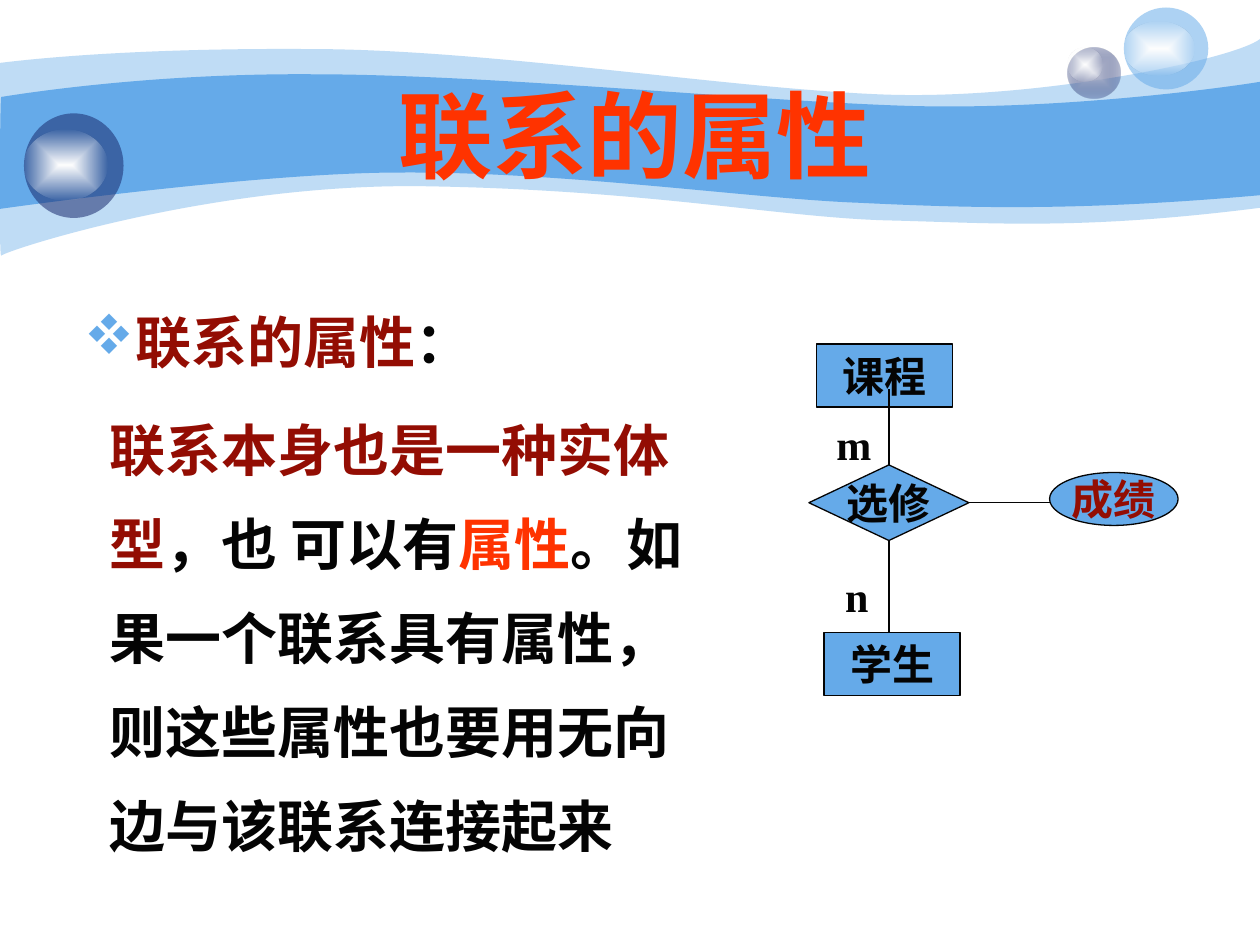
from dataclasses import dataclass

import pptx
import pptx.dml.color
import pptx.enum.shapes
import pptx.enum.text
import pptx.oxml
import pptx.oxml.ns
import pptx.util
from pptx.util import Inches

SHAPE = pptx.enum.shapes.MSO_SHAPE
ALIGN = pptx.enum.text.PP_ALIGN
ANCHOR = pptx.enum.text.MSO_ANCHOR
NS = 'xmlns:a="http://schemas.openxmlformats.org/drawingml/2006/main"'


@dataclass(frozen=True)
class Theme:
    blue: str = "65AAE9"
    navy: str = "16266A"
    mist: str = "C4C8D9"
    white: str = "FFFFFF"
    ink: str = "040404"
    maroon: str = "930D03"
    red: str = "FF3300"
    title_font: str = "Arial"
    text_font: str = "Times New Roman"
    title_size: int = 54
    body_size: int = 32
    label_size: int = 24
    line_width: float = 0.75


THEME = Theme()


def rgb(color):
    return pptx.dml.color.RGBColor.from_string(color)


def apply(target, formats):
    for name, value in formats.items():
        setattr(target, name, value)


def add_run(paragraph, text, color, size, face=THEME.text_font):
    run = paragraph.add_run()
    run.text = text
    apply(run.font, {"name": face, "size": pptx.util.Pt(size), "bold": True})
    run.font.color.rgb = rgb(color)


def color_xml(color, opacity=100):
    return f'<a:srgbClr {NS} val="{color}"><a:alpha val="{opacity * 1000}"/></a:srgbClr>'


def fill_shape(shape, color, opacity=100, outlined=False):
    shape.shadow.inherit = False
    shape.fill.solid()
    shape.fill.fore_color.rgb = rgb(color)
    if opacity < 100:
        solid = shape.element.spPr.find(pptx.oxml.ns.qn("a:solidFill"))
        solid.replace(solid[0], pptx.oxml.parse_xml(color_xml(color, opacity)))
    if outlined:
        shape.line.color.rgb = rgb(THEME.ink)
        shape.line.width = pptx.util.Pt(THEME.line_width)
    else:
        shape.line.fill.background()


def fill_glow(shape, center, edge, edge_opacity):
    fill_shape(shape, center)
    solid = shape.element.spPr.find(pptx.oxml.ns.qn("a:solidFill"))
    shape.element.spPr.replace(solid, pptx.oxml.parse_xml(
        f'<a:gradFill {NS} rotWithShape="1"><a:gsLst>'
        f'<a:gs pos="0">{color_xml(center)}</a:gs>'
        f'<a:gs pos="100000">{color_xml(edge, edge_opacity)}</a:gs></a:gsLst>'
        '<a:path path="rect"><a:fillToRect l="50000" t="50000" r="50000" b="50000"/>'
        '</a:path></a:gradFill>'))


def bend_outline(wave, segments):
    lines = iter(wave.element.findall(".//" + pptx.oxml.ns.qn("a:lnTo")))
    for segment in segments:
        first = next(lines)
        if len(segment) == 6:
            curve = pptx.oxml.parse_xml(f"<a:cubicBezTo {NS}/>")
            first.addprevious(curve)
            for line in (first, next(lines), next(lines)):
                curve.append(line[0])
                line.getparent().remove(line)


def draw_wave(slide, box, start, segments, opacity):
    left, top = box
    outline = [start]
    for segment in segments:
        outline += zip(segment[::2], segment[1::2])
    points = [(Inches(left + x), Inches(top + y)) for x, y in outline]
    builder = slide.shapes.build_freeform(*points[0], scale=1.0)
    builder.add_line_segments(points[1:], close=True)
    wave = builder.convert_to_shape()
    bend_outline(wave, segments)
    fill_shape(wave, THEME.blue, opacity)


def draw_banner(slide, box):
    draw_wave(slide, box, (0, 0.5), [
        (0.24, 0.47, 1.07, 0.38, 2.47, 0.39), (3.86, 0.39, 5.75, 0.7, 6.99, 0.75),
        (8.22, 0.8, 9.8, 0.47, 10, 0.31), (10, 1.65),
        (8.58, 1.83, 7.87, 1.77, 7.05, 1.75), (6.22, 1.73, 5.15, 1.51, 3.43, 1.48),
        (1.72, 1.44, 0.04, 1.99, 0.01, 2.03), (-0.01, 2.08, 0, 0.75, 0, 0.5)], 41)
    draw_wave(slide, box, (0.01, 0.77), [
        (0.02, 0.77, 1.1, 0.58, 2.48, 0.59), (3.86, 0.59, 5.95, 0.8, 7.18, 0.84),
        (8.41, 0.88, 9.76, 0.69, 10, 0.65), (10, 1.55),
        (8.53, 1.68, 7.65, 1.65, 6.82, 1.61), (5.99, 1.58, 4.47, 1.36, 3.17, 1.37),
        (2.03, 1.37, -0.02, 1.66, -0.01, 1.66), (0, 1.66, 0, 0.77, 0.01, 0.77)], 100)


def draw_bubble(slide, box, shine_box, color, opacity, center=None):
    left, top, width, height = box
    dx, dy, shine_width, shine_height = shine_box
    bubble = slide.shapes.add_group_shape().shapes
    ball = bubble.add_shape(SHAPE.OVAL, *map(Inches, box))
    if center:
        fill_glow(ball, center, color, opacity)
    else:
        fill_shape(ball, color, opacity)
    shine = bubble.add_shape(SHAPE.OVAL, Inches(left + dx), Inches(top + dy),
                             Inches(shine_width), Inches(shine_height))
    fill_glow(shine, THEME.white, THEME.white, 0)


def place_title(slide, box):
    title = slide.shapes.title
    apply(title, dict(zip(("left", "top", "width", "height"), map(Inches, box))))
    apply(title.text_frame, {"vertical_anchor": ANCHOR.MIDDLE, "word_wrap": True})
    heading = title.text_frame.paragraphs[0]
    heading.alignment = ALIGN.CENTER
    add_run(heading, "联系的属性", THEME.red, THEME.title_size, THEME.title_font)
    title.element.getparent().append(title.element)


def draw_diagram(slide, box):
    left, top = box
    diagram = slide.shapes.add_group_shape().shapes

    def at(x, y):
        return Inches(left + x), Inches(top + y)

    def add_node(kind, text, x, y, width, height, color=THEME.ink, wrap=False):
        node = diagram.add_shape(kind, *at(x, y), Inches(width), Inches(height))
        fill_shape(node, THEME.blue, outlined=True)
        apply(node.text_frame, {"vertical_anchor": ANCHOR.MIDDLE, "word_wrap": wrap})
        label = node.text_frame.paragraphs[0]
        label.alignment = ALIGN.CENTER
        add_run(label, text, color, THEME.label_size)
        return node

    add_node(SHAPE.RECTANGLE, "课程", 0.06, 0, 1.08, 0.5, wrap=True)
    enrolment = add_node(SHAPE.DIAMOND, "选修", 0, 0.96, 1.27, 0.6)
    add_node(SHAPE.RECTANGLE, "学生", 0.12, 2.29, 1.08, 0.5, wrap=True)
    add_node(SHAPE.OVAL, "成绩", 1.91, 1.02, 1.02, 0.42, THEME.maroon)

    axis = 1.27 / 2
    for side, start, end in ((0, (axis, 0.96), (axis, 0.36)),
                             (2, (axis, 1.56), (axis, 2.29)),
                             (3, (1.27, 1.26), (1.91, 1.26))):
        edge = diagram.add_connector(pptx.enum.shapes.MSO_CONNECTOR.STRAIGHT,
                                     *at(*start), *at(*end))
        edge.begin_connect(enrolment, side)
        edge.line.color.rgb = rgb(THEME.ink)
        edge.line.width = pptx.util.Pt(THEME.line_width)
        edge.element.spPr.append(pptx.oxml.parse_xml(f"<a:effectLst {NS}/>"))

    for text, x, y in (("m", 0.12, 0.54), ("n", 0.19, 1.75)):
        cardinality = diagram.add_textbox(*at(x, y), Inches(0.32), Inches(0.5))
        cardinality.text_frame.word_wrap = True
        add_run(cardinality.text_frame.paragraphs[0], text, THEME.ink, THEME.label_size)


def write_explanation(slide, box):
    explanation = slide.shapes.add_textbox(*map(Inches, box)).text_frame
    explanation.word_wrap = True
    heading = explanation.paragraphs[0]
    detail = explanation.add_paragraph()
    passages = (
        (heading, -0.2, (("联系的属性", THEME.maroon), ("：", THEME.ink))),
        (detail, 0, (("联系本身也是一种实体型", THEME.maroon), ("，也 可以有", THEME.ink),
                     ("属性", THEME.red),
                     ("。如果一个联系具有属性，则这些属性也要用无向边与该联系连接起来", THEME.ink))))
    for paragraph, indent, runs in passages:
        apply(paragraph, {"level": 1, "line_spacing": 1.4})
        properties = paragraph._p.get_or_add_pPr()
        properties.set("marL", str(Inches(0.5)))
        properties.set("indent", str(Inches(indent)))
        for text, color in runs:
            add_run(paragraph, text, color, THEME.body_size)
    detail.space_before = pptx.util.Pt(8)
    for bullet in (f'<a:buClr {NS}><a:srgbClr val="{THEME.blue}"/></a:buClr>',
                   f'<a:buFont {NS} typeface="Wingdings" charset="2"/>',
                   f'<a:buChar {NS} char="v"/>'):
        heading._p.get_or_add_pPr().append(pptx.oxml.parse_xml(bullet))


def main():
    deck = pptx.Presentation()
    apply(deck, {"slide_width": Inches(10), "slide_height": Inches(7.5)})
    slide = deck.slides.add_slide(deck.slide_layouts[5])
    draw_banner(slide, (0, 0))
    draw_bubble(slide, (8.47, 0.38, 0.42, 0.4), (0, 0, 0.28, 0.27), THEME.navy, 31, THEME.mist)
    draw_bubble(slide, (8.92, 0.06, 0.67, 0.65), (0, 0.11, 0.56, 0.43), THEME.blue, 53)
    draw_bubble(slide, (0.19, 0.9, 0.79, 0.83), (0, 0.13, 0.66, 0.56), THEME.navy, 53)
    place_title(slide, (1, 0.75, 8.08, 0.62))
    draw_diagram(slide, (6.42, 2.73))
    write_explanation(slide, (0.27, 2.18, 5.28, 5.23))
    deck.save("out.pptx")


if __name__ == "__main__":
    main()
